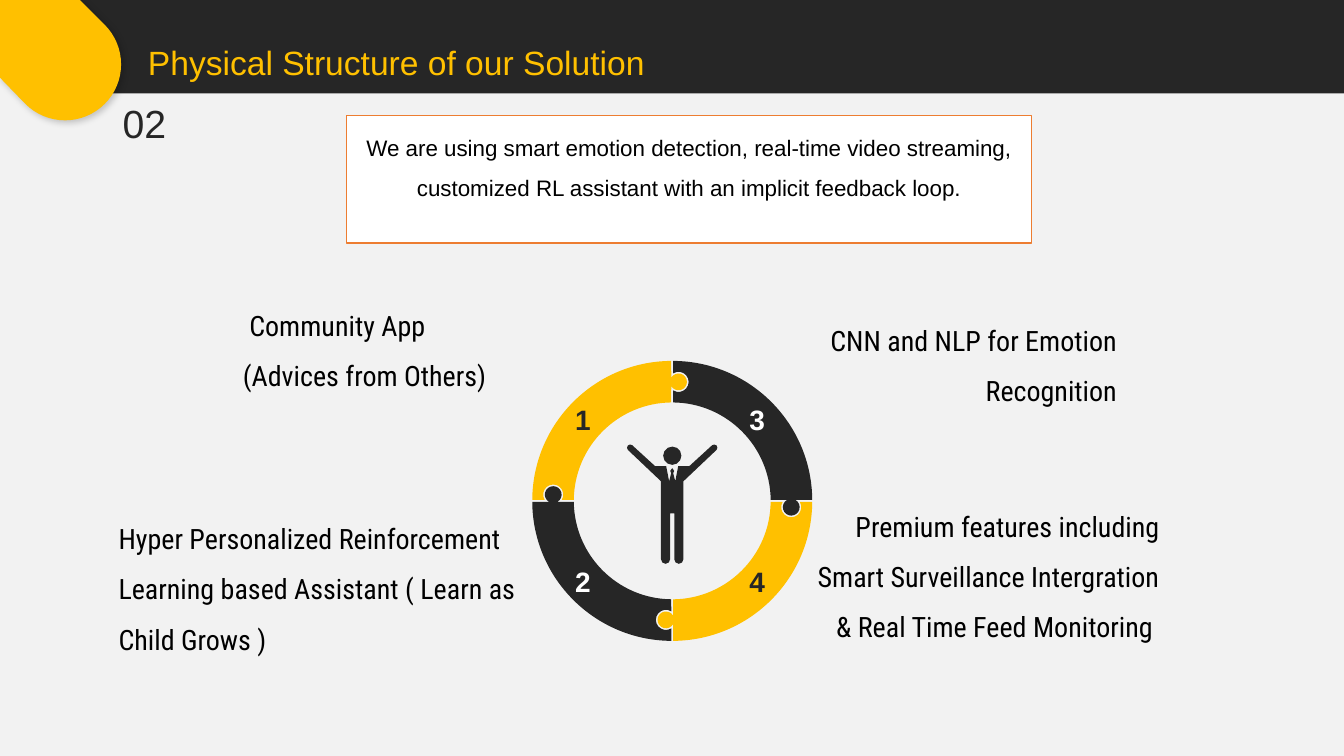
from dataclasses import dataclass
from math import ceil, cos, radians, sin, tan

from lxml import etree
from pptx import Presentation
from pptx import util as u
from pptx.dml.color import RGBColor
from pptx.enum import shapes, text
from pptx.oxml.ns import qn


@dataclass(frozen=True)
class Theme:
    """Colours, fonts and type sizes of the slide."""

    paper: str = "F2F2F2"
    dark: str = "262626"
    yellow: str = "FFC000"
    white: str = "FFFFFF"
    black: str = "000000"
    orange: str = "ED7D31"
    main_font: str = "Arial"
    label_font: str = "Roboto Condensed"
    counter_size: int = 28
    title_size: int = 24
    label_size: int = 20
    callout_size: int = 16


THEME = Theme()
CENTRE = (480.2, 357.8)
LEFT, MIDDLE, RIGHT = text.PP_ALIGN.LEFT, text.PP_ALIGN.CENTER, text.PP_ALIGN.RIGHT


def corners(*points):
    """Return straight path steps, each a tuple holding its end point."""
    return [(point,) for point in points]


def arc(x, y, radius, start, end, widest=90):
    """Return a path step to the start of an arc, then its Bezier steps, clockwise from the right."""
    count = ceil(abs(end - start) / widest)
    sweep = radians(end - start) / count
    pull = radius * 4 / 3 * tan(sweep / 4)
    angles = [radians(start) + sweep * i for i in range(count + 1)]
    ends = [(x + radius * cos(a), y + radius * sin(a)) for a in angles]
    tangents = [(-pull * sin(a), pull * cos(a)) for a in angles]
    steps = corners(ends[0])
    for i in range(count):
        (x1, y1), (x2, y2) = ends[i:i + 2]
        (dx1, dy1), (dx2, dy2) = tangents[i:i + 2]
        steps.append(((x1 + dx1, y1 + dy1), (x2 - dx2, y2 - dy2), (x2, y2)))
    return steps


def mirror(steps):
    """Return a path reflected left to right and run backwards."""
    result = [steps[-1][-1:]]
    for previous, step in zip(steps[-2::-1], steps[:0:-1]):
        result.append((*step[-2::-1], previous[-1]))
    return [tuple((-x, y) for x, y in step) for step in result]


def paint(shape, fill, line=None):
    """Give a shape a flat fill, an optional outline and no shadow."""
    shape.shadow.inherit = False
    shape.fill.solid()
    shape.fill.fore_color.rgb = RGBColor.from_string(fill)
    if line:
        shape.line.color.rgb = RGBColor.from_string(line)
        shape.line.width = u.Pt(1)
    else:
        shape.line.fill.background()


def add_preset(slide, kind, box, fill, line=None):
    """Add a painted preset shape."""
    shape = slide.shapes.add_shape(kind, *map(u.Pt, box))
    paint(shape, fill, line)
    return shape


def add_outline(slide, steps, fill, origin=(0, 0)):
    """Add a painted closed outline of straight and curved steps relative to the origin."""
    placed = [[(u.Pt(x + origin[0]), u.Pt(y + origin[1])) for x, y in step] for step in steps]
    builder = slide.shapes.build_freeform(*placed[0][-1], scale=1.0)
    builder.add_line_segments([step[-1] for step in placed[1:]], close=True)
    shape = builder.convert_to_shape()
    segments = list(shape._element.spPr.iter(qn("a:lnTo")))
    for segment, step in zip(segments, placed[1:]):
        if len(step) == 3:
            curve = etree.Element(qn("a:cubicBezTo"))
            for x, y in step:
                etree.SubElement(curve, qn("a:pt"), x=str(x - shape.left), y=str(y - shape.top))
            segment.getparent().replace(segment, curve)
    paint(shape, fill)
    return shape


def write(shape, words, size, color, font=THEME.main_font, align=LEFT,
          spacing=1.0, bold=False, inset=(7.2, 3.6), wrap=True):
    """Write one formatted paragraph from the top of a shape."""
    frame = shape.text_frame
    frame.text = words
    frame.word_wrap = wrap
    frame.vertical_anchor = text.MSO_ANCHOR.TOP
    frame.margin_left = frame.margin_right = u.Pt(inset[0])
    frame.margin_top = frame.margin_bottom = u.Pt(inset[1])
    paragraph = frame.paragraphs[0]
    paragraph.alignment = align
    paragraph.line_spacing = spacing
    for run in paragraph.runs:
        run.font.name = font
        run.font.size = u.Pt(size)
        run.font.bold = bold
        run.font.color.rgb = RGBColor.from_string(color)


def add_text(slide, box, words, size, color, **style):
    """Add a text box."""
    write(slide.shapes.add_textbox(*map(u.Pt, box)), words, size, color, **style)


def add_soft_shadow(shape):
    """Add a faint shadow falling to the lower right."""
    effects = shape._element.spPr.find(qn("a:effectLst"))
    shadow = etree.SubElement(effects, qn("a:outerShdw"), blurRad=str(u.Pt(5)),
                              dist=str(u.Pt(2)), dir="2700000", algn="tl")
    color = etree.SubElement(shadow, qn("a:srgbClr"), val=THEME.black)
    etree.SubElement(color, qn("a:alpha"), val="20000")


def add_header(slide):
    """Add the dark bar, the corner tab, the slide number and the title."""
    add_preset(slide, shapes.MSO_SHAPE.RECTANGLE, (0, 0, 960, 66.7), THEME.dark)
    add_preset(slide, shapes.MSO_SHAPE.RIGHT_TRIANGLE, (0, 0, 97, 97), THEME.paper)
    tab = [*corners((0, 0), (57, 0)), *arc(46.5, 46, 40, -45, 135, 45), *corners((0, 55.5))]
    add_soft_shadow(add_outline(slide, tab, THEME.yellow))
    add_text(slide, (74.7, 67.2, 57, 41), "02", THEME.counter_size, THEME.dark, align=MIDDLE)
    add_text(slide, (98.6, 26.6, 577, 36), "Physical Structure of our Solution",
             THEME.title_size, THEME.yellow)


def add_puzzle_ring(slide):
    """Add four interlocking quarter pieces, each the first one turned by 90 degrees."""
    piece = [
        *arc(4.5, -85, 7.2, 238, 482),
        *arc(0, 0, 70.3, -89.4, -0.6),
        *arc(85, 4.5, 6, 240, -60),
        *arc(0, 0, 100, -0.4, -89.6),
    ]
    for fill in (THEME.dark, THEME.yellow) * 2:
        add_outline(slide, piece, fill, CENTRE)
        piece = [tuple((-y, x) for x, y in step) for step in piece]


def add_person(slide):
    """Add the figure with raised arms, mirrored about its middle."""
    half = [
        *corners((0, -23.4), (1.4, -21.4), (0.7, -19.8), (2.2, -14), (4.3, -24.8), (12.2, -24.8)),
        *arc(30, -38, 2.3, -130, 45),
        *corners((8, -14)),
        *arc(4.75, 41.7, 3.25, 0, 180),
        *corners((1.5, 9)),
    ]
    x, y = CENTRE
    add_preset(slide, shapes.MSO_SHAPE.OVAL, (x - 6.5, y - 38.8, 13, 13), THEME.dark)
    add_outline(slide, half + mirror(half), THEME.dark, CENTRE)


def add_ring_numbers(slide):
    """Number the four pieces, column by column."""
    colors = (THEME.dark, THEME.white, THEME.white, THEME.dark)
    for index, color in enumerate(colors):
        column, row = divmod(index, 2)
        box = (403.8 + 124.5 * column, 284 + 115.6 * row, 25, 32)
        add_text(slide, box, str(index + 1), THEME.label_size, color, bold=True, wrap=False)


def add_labels(slide):
    """Add the descriptions around the ring."""
    labels = [
        ((173.5, 208.4, 198, 73), LEFT, " Community App (Advices from Others)"),
        ((84.7, 360.4, 310, 109), LEFT,
         "Hyper Personalized Reinforcement Learning based Assistant ( Learn as Child Grows )"),
        ((587.9, 219.1, 210, 73), RIGHT, "CNN and NLP for Emotion Recognition"),
        ((571.3, 351.7, 257, 109), RIGHT,
         "Premium features including Smart Surveillance Intergration "
         "& Real Time Feed Monitoring "),
    ]
    for box, align, words in labels:
        add_text(slide, box, words, THEME.label_size, THEME.black, font=THEME.label_font,
                 align=align, spacing=1.5, inset=(0, 0))


def add_callout(slide):
    """Add the outlined summary box."""
    box = add_preset(slide, shapes.MSO_SHAPE.RECTANGLE, (247.6, 82.6, 489.2, 91),
                     THEME.white, THEME.orange)
    write(box, "We are using smart emotion detection, real-time video streaming, "
          "customized RL assistant with an implicit feedback loop.",
          THEME.callout_size, THEME.black, align=MIDDLE, spacing=1.5)


def main():
    """Build and save the slide."""
    presentation = Presentation()
    presentation.slide_width, presentation.slide_height = u.Pt(960), u.Pt(540)
    slide = presentation.slides.add_slide(presentation.slide_layouts[6])
    slide.background.fill.solid()
    slide.background.fill.fore_color.rgb = RGBColor.from_string(THEME.paper)
    add_header(slide)
    add_puzzle_ring(slide)
    add_person(slide)
    add_ring_numbers(slide)
    add_labels(slide)
    add_callout(slide)
    presentation.save("out.pptx")


if __name__ == "__main__":
    main()
